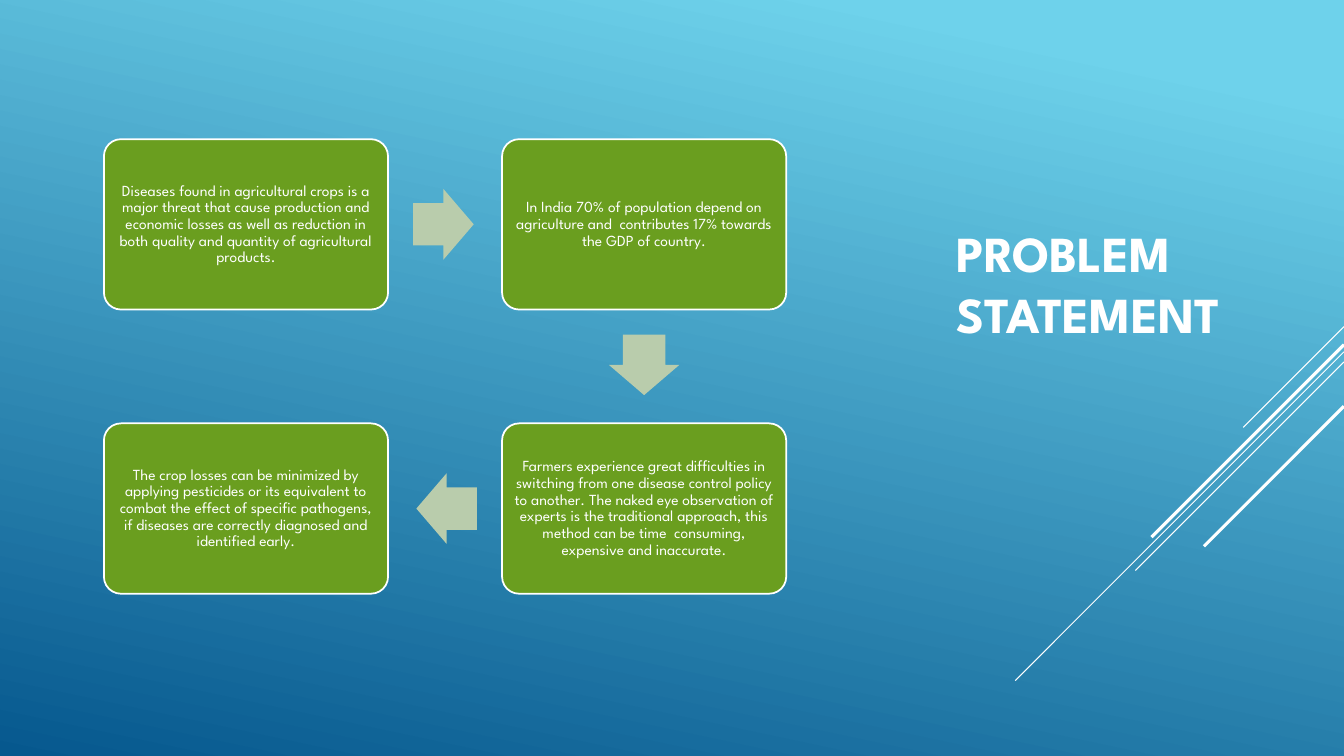
from dataclasses import dataclass

from lxml import etree
from pptx import Presentation
from pptx import util as u
from pptx.dml import color
from pptx.enum import shapes, text
from pptx.oxml import ns

Pt = u.Pt


@dataclass(frozen=True)
class Theme:
    """Colours, typeface and type sizes of the slide."""
    sky: str = "6ED2EB"
    deep: str = "06588E"
    card: str = "6A9E1F"
    arrow: str = "B9CCAC"
    light: str = "FFFFFF"
    font: str = "League Spartan"
    title_size: float = 36
    card_size: float = 11


THEME = Theme()
WIDTH, HEIGHT = 960, 540
CARD_LEFT, CARD_TOP, CARD_WIDTH, CARD_HEIGHT = 74.2, 99.4, 203, 121.7
COLUMN_STEP, ROW_STEP = 284.4, 203
ARROW_LENGTH, ARROW_BREADTH, ARROW_SETBACK = 43.2, 50.4, 1.1
CARDS = [
    (0, 0, "Diseases found in agricultural crops is a major threat that cause production and "
           "economic losses as well as reduction in both quality and quantity of agricultural products."),
    (1, 0, "In India 70% of population depend on agriculture and  contributes 17% towards "
           "the GDP of country."),
    (1, 1, "Farmers experience great difficulties in switching from one disease control policy "
           "to another. The naked eye observation of experts is the traditional approach, this "
           "method can be time  consuming, expensive and inaccurate."),
    (0, 1, "The crop losses can be minimized by applying pesticides or its equivalent to combat "
           "the effect of specific pathogens, if diseases are correctly diagnosed and identified early."),
]
ROTATIONS = {(1, 0): 0, (0, 1): 90, (-1, 0): 180}
DIAGONALS = [
    (233.3, 72, 0.75), (251.3, 234.8, 0.75), (258.5, 149, 0.75),
    (246.2, 137.5, 2.25), (290.2, 100, 2.25),
]


def apply(target, values):
    """Set each attribute named in values on target."""
    for name, value in values.items():
        setattr(target, name, value)


def rgb(value):
    """Turn a hex string into a colour."""
    return color.RGBColor.from_string(value)


def write(shape, words, size, frame_format, paragraph_format, bold=False):
    """Put one formatted paragraph into a shape."""
    frame = shape.text_frame
    frame.text = words
    apply(frame, {"word_wrap": True, "auto_size": text.MSO_AUTO_SIZE.NONE,
                  "vertical_anchor": text.MSO_ANCHOR.MIDDLE, **frame_format})
    paragraph = frame.paragraphs[0]
    apply(paragraph, paragraph_format)
    font = paragraph.runs[0].font
    apply(font, {"name": THEME.font, "size": Pt(size), "bold": bold})
    font.color.rgb = rgb(THEME.light)


def add_shape(slide, kind, left, top, width, height):
    """Add a preset shape without shadow or outline."""
    shape = slide.shapes.add_shape(kind, Pt(left), Pt(top), Pt(width), Pt(height))
    shape.shadow.inherit = False
    shape.line.fill.background()
    return shape


def add_backdrop(slide):
    """Cover the slide with the blue gradient."""
    backdrop = add_shape(slide, shapes.MSO_SHAPE.RECTANGLE, 0, 0, WIDTH, HEIGHT)
    backdrop.fill.gradient()
    backdrop.fill.gradient_angle = 258
    stops = zip(backdrop.fill.gradient_stops, (0.1, 1), (THEME.sky, THEME.deep))
    for stop, position, shade in stops:
        stop.position = position
        stop.color.rgb = rgb(shade)


def add_diagonal(slide, top, reach, weight):
    """Draw a 45 degree line from the right edge."""
    line = slide.shapes.add_connector(
        shapes.MSO_CONNECTOR.STRAIGHT, Pt(WIDTH), Pt(top), Pt(WIDTH - reach), Pt(top + reach))
    line.line.color.rgb = rgb(THEME.light)
    line.line.width = Pt(weight)
    etree.SubElement(line._element.spPr, ns.qn("a:effectLst"))


def place_title(slide, words):
    """Move the title placeholder to the front right and fill it."""
    title = slide.shapes.title
    apply(title, {"left": Pt(676), "top": Pt(74.2), "width": Pt(240), "height": Pt(255.6)})
    write(title, words, THEME.title_size, {}, {"alignment": text.PP_ALIGN.LEFT}, bold=True)
    slide.shapes._spTree.append(title._element)


def add_card(slide, column, row, words):
    """Add a rounded card in its grid cell."""
    card = add_shape(slide, shapes.MSO_SHAPE.ROUNDED_RECTANGLE, CARD_LEFT + column * COLUMN_STEP,
                     CARD_TOP + row * ROW_STEP, CARD_WIDTH, CARD_HEIGHT)
    card.adjustments[0] = 0.1
    card.fill.solid()
    card.fill.fore_color.rgb = rgb(THEME.card)
    card.line.color.rgb = rgb(THEME.light)
    card.line.width = Pt(1.25)
    margins = {f"margin_{side}": Pt(3.6) for side in ("left", "top", "right", "bottom")}
    write(card, words, THEME.card_size, margins,
          {"alignment": text.PP_ALIGN.CENTER, "line_spacing": 0.9})


def add_arrow(slide, start, end):
    """Add a block arrow midway between two grid cells."""
    across, down = end[0] - start[0], end[1] - start[1]
    center_x = (CARD_LEFT + CARD_WIDTH / 2 + (start[0] + end[0]) / 2 * COLUMN_STEP
                - across * ARROW_SETBACK)
    center_y = (CARD_TOP + CARD_HEIGHT / 2 + (start[1] + end[1]) / 2 * ROW_STEP
                - down * ARROW_SETBACK)
    arrow = add_shape(slide, shapes.MSO_SHAPE.RIGHT_ARROW, center_x - ARROW_LENGTH / 2,
                      center_y - ARROW_BREADTH / 2, ARROW_LENGTH, ARROW_BREADTH)
    arrow.adjustments[0] = 0.6
    arrow.adjustments[1] = 0.5
    arrow.rotation = ROTATIONS[across, down]
    arrow.fill.solid()
    arrow.fill.fore_color.rgb = rgb(THEME.arrow)


def main():
    """Build the problem statement slide."""
    presentation = Presentation()
    apply(presentation, {"slide_width": Pt(WIDTH), "slide_height": Pt(HEIGHT)})
    slide = presentation.slides.add_slide(presentation.slide_layouts[5])
    add_backdrop(slide)
    for diagonal in DIAGONALS:
        add_diagonal(slide, *diagonal)
    place_title(slide, "PROBLEM STATEMENT")
    for card in CARDS:
        add_card(slide, *card)
    for start, end in zip(CARDS, CARDS[1:]):
        add_arrow(slide, start[:2], end[:2])
    presentation.save("out.pptx")


if __name__ == "__main__":
    main()
